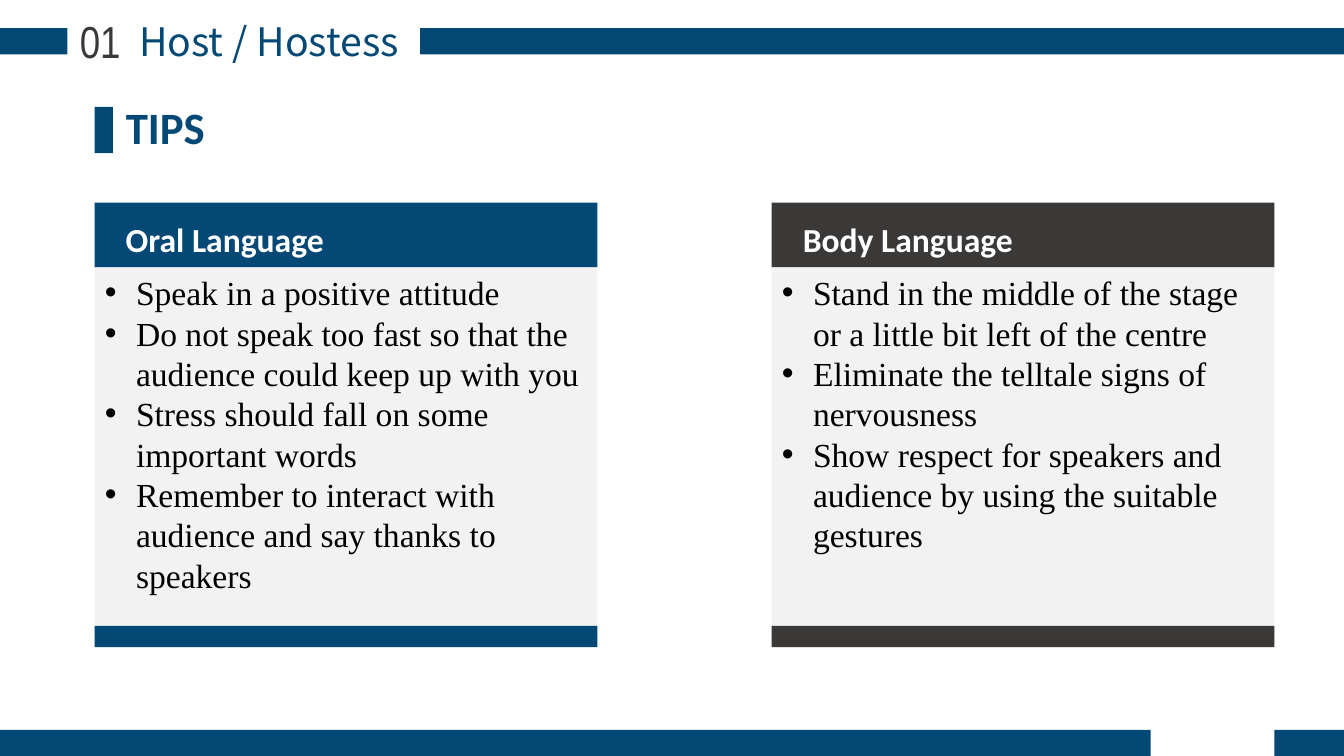
from lxml import etree
from pptx import Presentation
from pptx.dml.color import RGBColor
from pptx.enum.shapes import MSO_SHAPE as Preset
from pptx.enum.text import MSO_ANCHOR as Anchor, MSO_AUTO_SIZE as AutoSize, PP_ALIGN as Align
from pptx.oxml.ns import qn
from pptx.util import Inches, Pt

COLOURS = {"blue": "044875", "charcoal": "3B3838", "panel": "F2F2F2",
           "white": "FFFFFF", "black": "000000"}
MARGIN, PANEL_WIDTH, PANEL_TOP, PANEL_HEIGHT = 0.94, 4.99, 2.65, 3.77
HEADER_HEIGHT, STRIP_HEIGHT, BAND_HEIGHT = 0.64, 0.21, 0.26
BANDS = [(0, 0.28, 0.67), (4.17, 0.28, 9.17), (12.65, 7.24, 0.69), (0, 7.24, 11.42)]
CARDS = [
    (MARGIN, "blue", "Oral Language", [
        "Speak in a positive attitude",
        "Do not speak too fast so that the audience could keep up with you",
        "Stress should fall on some important words",
        "Remember to interact with audience and say thanks to speakers"]),
    (7.66, "charcoal", "Body Language", [
        "Stand in the middle of the stage or a little bit left of the centre",
        "Eliminate the telltale signs of nervousness",
        "Show respect for speakers and audience by using the suitable gestures"]),
]


class SlideBuilder:
    """Holds the colours and the current slide and adds styled elements to it."""

    def __init__(self, slide, colours):
        self.slide = slide
        self.colours = {name: RGBColor.from_string(value) for name, value in colours.items()}

    def place(self, shape, *box):
        for name, value in zip(("left", "top", "width", "height"), box):
            setattr(shape, name, Inches(value))

    def bar(self, colour, *box):
        shape = self.slide.shapes.add_shape(Preset.RECTANGLE, *map(Inches, box))
        shape.shadow.inherit = False
        shape.fill.solid()
        shape.fill.fore_color.rgb = self.colours[colour]
        shape.line.fill.background()

    def fill_text(self, shape, lines, font, size, colour, bold=False, anchor=Anchor.TOP,
                  bullets=False, **paragraph_format):
        frame = shape.text_frame
        frame_format = {"text": "\n".join(lines), "word_wrap": True,
                        "auto_size": AutoSize.NONE, "vertical_anchor": anchor}
        for name, value in frame_format.items():
            setattr(frame, name, value)
        for paragraph in frame.paragraphs:
            if bullets:
                self.bullet(paragraph)
            for name, value in {"space_before": Pt(0), **paragraph_format}.items():
                setattr(paragraph, name, value)
            for name, value in {"name": font, "size": Pt(size), "bold": bold}.items():
                setattr(paragraph.font, name, value)
            paragraph.font.color.rgb = self.colours[colour]

    def bullet(self, paragraph):
        properties = paragraph._p.get_or_add_pPr()
        properties.set("marL", str(Inches(0.31)))
        properties.set("indent", str(-Inches(0.31)))
        etree.SubElement(properties, qn("a:buFont")).set("typeface", "Arial")
        etree.SubElement(properties, qn("a:buChar")).set("char", "•")

    def title(self, text, *box, **style):
        shape = self.slide.shapes.title
        self.place(shape, *box)
        self.fill_text(shape, [text], **style)

    def label(self, text, *box, **style):
        shape = self.slide.shapes.add_textbox(*map(Inches, box))
        self.fill_text(shape, [text], **style)

    def card(self, body, left, colour, heading, tips):
        self.place(body, left, PANEL_TOP, PANEL_WIDTH, PANEL_HEIGHT)
        body.fill.solid()
        body.fill.fore_color.rgb = self.colours["panel"]
        self.fill_text(body, tips, "Times New Roman", 24, "black", bullets=True)
        self.bar(colour, left, PANEL_TOP - HEADER_HEIGHT, PANEL_WIDTH, HEADER_HEIGHT)
        self.bar(colour, left, PANEL_TOP + PANEL_HEIGHT - STRIP_HEIGHT, PANEL_WIDTH, STRIP_HEIGHT)
        self.label(heading, left + 0.21, 2.12, 4.56, 0.5,
                   font="Calibri", size=24, colour="white", bold=True)


def main():
    """Build the host tips slide and save it."""
    presentation = Presentation()
    presentation.slide_width, presentation.slide_height = Inches(13.34), Inches(7.5)
    slide = presentation.slides.add_slide(presentation.slide_layouts[3])
    for placeholder in list(slide.placeholders)[3:]:
        placeholder.element.getparent().remove(placeholder.element)
    builder = SlideBuilder(slide, COLOURS)
    for left, top, width in BANDS:
        builder.bar("blue", left, top, width, BAND_HEIGHT)
    builder.title("Host / Hostess", 0.87, 0.12, 3.6, 0.57, font="Noto Sans CJK SC", size=28,
                  colour="blue", anchor=Anchor.MIDDLE, alignment=Align.CENTER)
    builder.label("01", 0.6, 0.09, 0.79, 0.64, font="Arial Narrow", size=32,
                  colour="charcoal", alignment=Align.CENTER)
    builder.bar("blue", MARGIN, 1.06, 0.18, 0.46)
    builder.label("TIPS", 1.15, 1.14, 7.22, 0.44, font="Calibri", size=32,
                  colour="blue", bold=True, line_spacing=Pt(24))
    for body, card in zip(list(slide.placeholders)[1:], CARDS):
        builder.card(body, *card)
    presentation.save("out.pptx")


if __name__ == "__main__":
    main()
